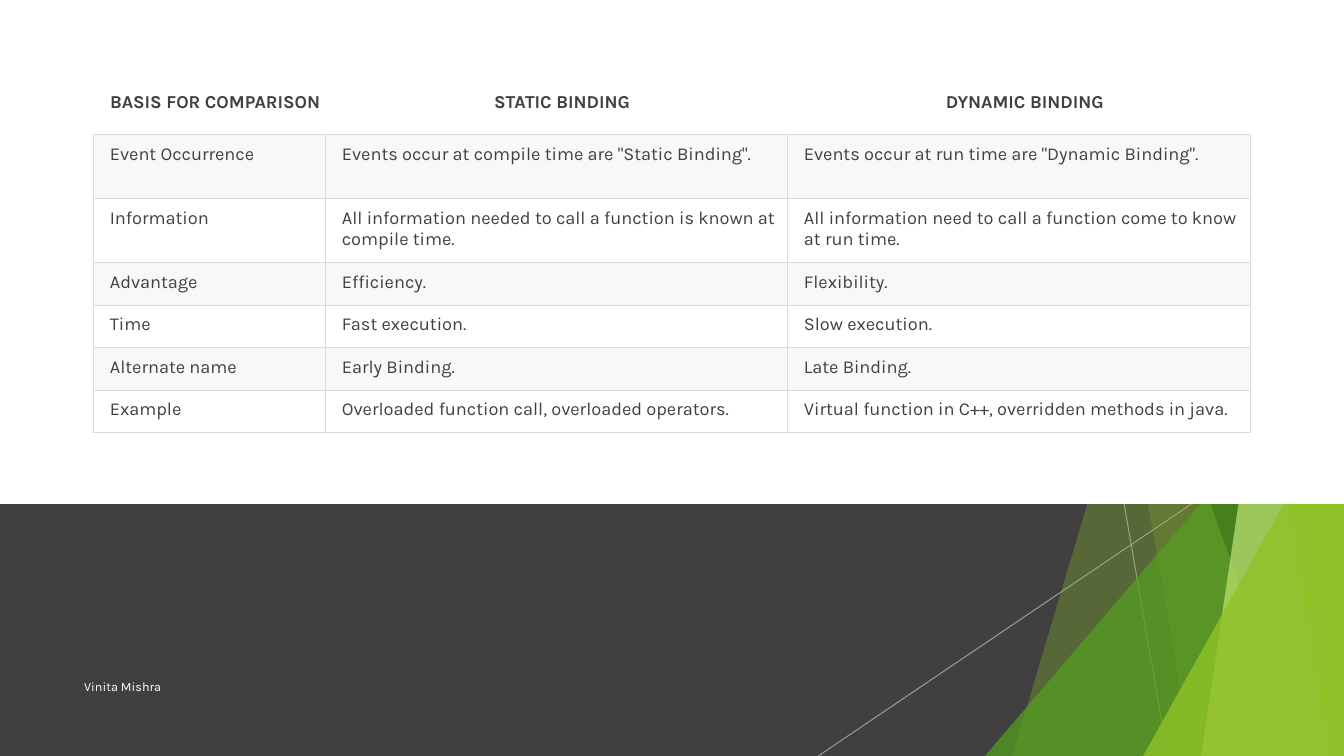
"""Build a slide comparing static and dynamic binding in a table."""
from dataclasses import dataclass

from lxml.etree import SubElement
from pptx import Presentation
from pptx.dml.color import RGBColor as RGB
from pptx.enum.shapes import MSO_CONNECTOR as Link, MSO_SHAPE as Form
from pptx.enum.text import MSO_ANCHOR as Anchor, PP_ALIGN as Align
from pptx.oxml import parse_xml
from pptx.oxml.ns import nsdecls, qn
from pptx.shapes.autoshape import Shape
from pptx.shapes.shapetree import SlideShapes as Shapes
from pptx.table import _Cell as Cell
from pptx.text.text import _Paragraph as Para
from pptx.util import Pt

WHITE = RGB(0xFF, 0xFF, 0xFF)
DARK = RGB(0x40, 0x40, 0x40)
SILVER = RGB(0xBF, 0xBF, 0xBF)
RULE = RGB(0xD8, 0xDC, 0xDC)
BAND = RGB(0xD8, 0xDE, 0xDC)
LIME = RGB(0x90, 0xC2, 0x26)
LEAF = RGB(0x54, 0xA0, 0x21)
MOSS = RGB(0x3F, 0x78, 0x19)
PALE = RGB(0xC0, 0xE4, 0x74)
FONT = "Karla"
WIDE, HIGH, SPLIT = 960, 540, 360


@dataclass
class Shard:
    """A slanted sheet from a top and a foot point to the right edge."""
    top: float
    foot: float
    color: RGB
    alpha: int


@dataclass
class Peak:
    """A right triangle in the lower right corner."""
    left: float
    top: float
    color: RGB
    alpha: int


@dataclass
class Ray:
    """A thin line from the split down to the foot of the slide."""
    top: float
    foot: float


RAYS = [Ray(803, 834), Ray(851, 584.5)]
FACETS = [
    Shard(884, 723, LIME, 30),
    Shard(756, 852, LIME, 20),
    Peak(703.5, 240, LEAF, 72),
    Shard(735, 929.5, MOSS, 70),
    Shard(938, 858, PALE, 70),
    Shard(861, 949, LIME, 65),
    Peak(816.5, 283, LIME, 80),
]
COLS = [165.75, 330, 331]
TALL, LOW = 45.75, 30.35
ROWS = [
    ("BASIS FOR COMPARISON", "STATIC BINDING", "DYNAMIC BINDING"),
    ("Event Occurrence", 'Events occur at compile time are "Static Binding".',
     'Events occur at run time are "Dynamic Binding".'),
    ("Information",
     "All information needed to call a function is known at compile time.",
     "All information need to call a function come to know at run time."),
    ("Advantage", "Efficiency.", "Flexibility."),
    ("Time", "Fast execution.", "Slow execution."),
    ("Alternate name", "Early Binding.", "Late Binding."),
    ("Example", "Overloaded function call, overloaded operators.",
     "Virtual function in C++, overridden methods in java."),
]
HEIGHTS = [TALL] * 3 + [LOW] * 4


def fade(node, alpha: int) -> None:
    """Make the first colour found in a node translucent."""
    color = next(node.iter(qn("a:srgbClr")))
    SubElement(color, qn("a:alpha")).set("val", str(alpha * 1000))


def paint(shape: Shape, color: RGB, alpha: int = 100) -> None:
    """Fill a shape without outline or shadow."""
    shape.shadow.inherit = False
    shape.line.fill.background()
    shape.fill.solid()
    shape.fill.fore_color.rgb = color
    if alpha < 100:
        fade(shape._element.spPr, alpha)


def panel(shapes: Shapes, top: float, tall: float, color: RGB) -> None:
    """Draw a rectangle across the slide."""
    box = shapes.add_shape(Form.RECTANGLE, 0, Pt(top), Pt(WIDE), Pt(tall))
    paint(box, color)


def draw_ray(shapes: Shapes, ray: Ray) -> None:
    """Draw one thin line."""
    line = shapes.add_connector(Link.STRAIGHT, Pt(ray.top), Pt(SPLIT),
                                Pt(ray.foot), Pt(HIGH))
    line.line.color.rgb = SILVER
    line.line.width = Pt(0.75)
    props = line._element.spPr
    fade(props, 70)
    SubElement(props, qn("a:effectLst"))


def draw_facet(shapes: Shapes, facet: Shard | Peak) -> None:
    """Draw one translucent sheet or triangle."""
    if isinstance(facet, Peak):
        shape = shapes.add_shape(
            Form.ISOSCELES_TRIANGLE, Pt(facet.left), Pt(facet.top),
            Pt(WIDE - facet.left), Pt(HIGH - facet.top))
        shape.adjustments[0] = 1
    else:
        pen = shapes.build_freeform(Pt(facet.top), 0)
        pen.add_line_segments([(Pt(WIDE), 0), (Pt(WIDE), Pt(HIGH)),
                               (Pt(facet.foot), Pt(HIGH))])
        shape = pen.convert_to_shape()
    paint(shape, facet.color, facet.alpha)


def write(para: Para, text: str, size: float, color: RGB,
          bold: bool = False) -> None:
    """Add one run of text."""
    run = para.add_run()
    run.text = text
    run.font.name = FONT
    run.font.size = Pt(size)
    run.font.bold = bold
    run.font.color.rgb = color


def edge(cell: Cell, head: bool) -> None:
    """Rule a cell on all sides, or only below in the header."""
    props = cell._tc.get_or_add_tcPr()
    for spot, side in enumerate("LRTB"):
        ink = ("<a:noFill/>" if head and side != "B" else
               f'<a:solidFill><a:srgbClr val="{RULE}"/></a:solidFill>')
        props.insert(spot, parse_xml(
            f'<a:ln{side} {nsdecls("a")} w="{Pt(0.75)}">{ink}</a:ln{side}>'))


def fill_cell(cell: Cell, text: str, row: int) -> None:
    """Write and format one table cell."""
    head = row == 0
    cell.margin_left, cell.margin_right = Pt(12), Pt(3.6)
    cell.margin_top = cell.margin_bottom = Pt(6.5)
    cell.vertical_anchor = Anchor.MIDDLE if head else Anchor.TOP
    if row % 2:
        cell.fill.solid()
        cell.fill.fore_color.rgb = BAND
        fade(cell._tc.tcPr, 20)
    else:
        cell.fill.background()
    edge(cell, head)
    para = cell.text_frame.paragraphs[0]
    para.alignment = Align.CENTER if head else Align.LEFT
    write(para, text, 13, DARK, head)


def draw_table(shapes: Shapes) -> None:
    """Draw the comparison table."""
    table = shapes.add_table(len(ROWS), len(COLS), Pt(66.5), Pt(50.5),
                             Pt(sum(COLS)), Pt(sum(HEIGHTS))).table
    table.horz_banding = False
    for col, wide in zip(table.columns, COLS):
        col.width = Pt(wide)
    for r, (texts, tall) in enumerate(zip(ROWS, HEIGHTS)):
        table.rows[r].height = Pt(tall)
        for c, text in enumerate(texts):
            fill_cell(table.cell(r, c), text, r)


def main() -> None:
    """Build and save the slide."""
    deck = Presentation()
    deck.slide_width, deck.slide_height = Pt(WIDE), Pt(HIGH)
    shapes = deck.slides.add_slide(deck.slide_layouts[6]).shapes
    panel(shapes, SPLIT, HIGH - SPLIT, DARK)
    for ray in RAYS:
        draw_ray(shapes, ray)
    for facet in FACETS:
        draw_facet(shapes, facet)
    panel(shapes, 0, SPLIT, WHITE)
    frame = shapes.add_textbox(Pt(53), Pt(476), Pt(496), Pt(29)).text_frame
    frame.word_wrap = True
    frame.vertical_anchor = Anchor.MIDDLE
    para = frame.paragraphs[0]
    para.space_after = Pt(6)
    write(para, "Vinita Mishra", 9, WHITE)
    draw_table(shapes)
    deck.save("out.pptx")


if __name__ == "__main__":
    main()
